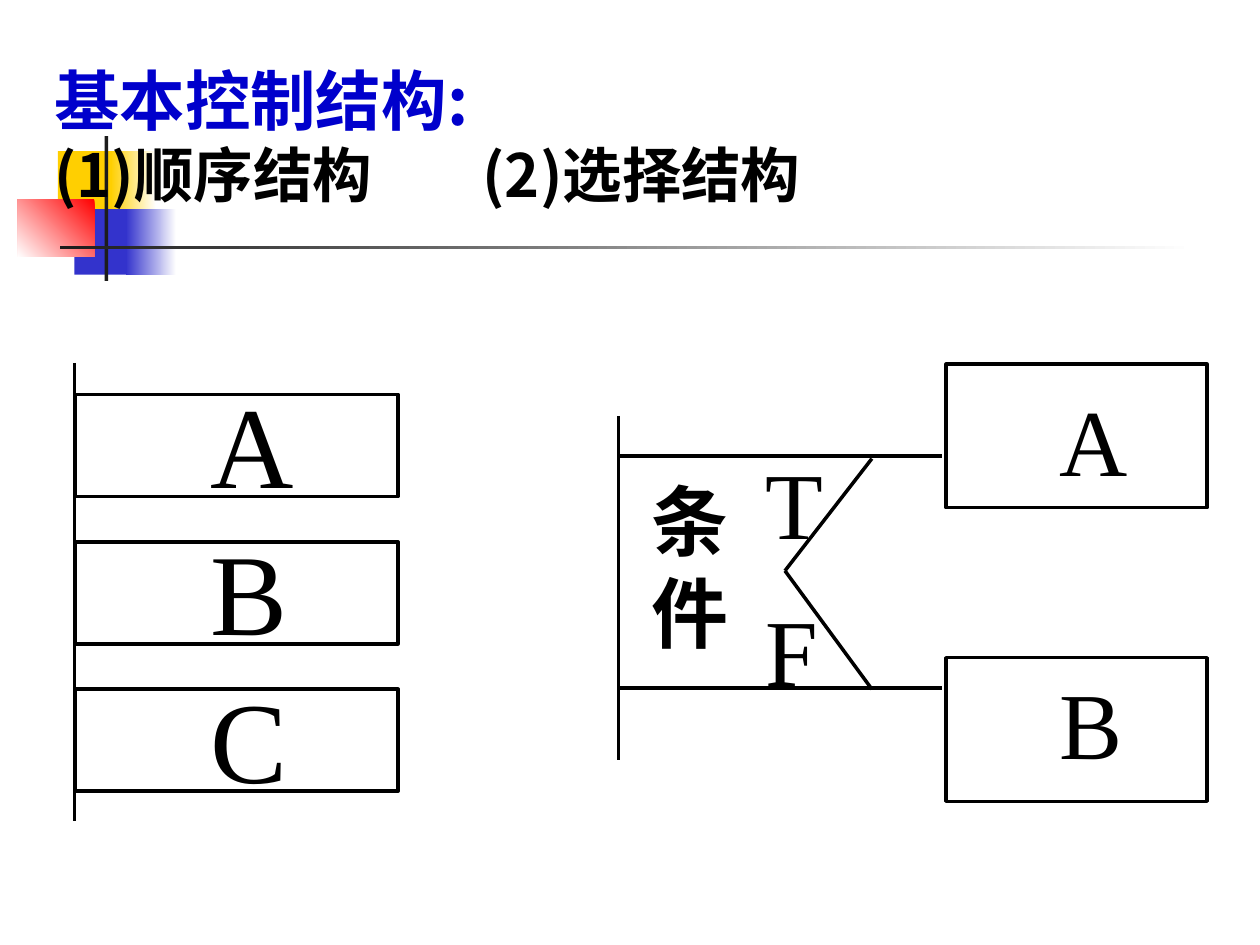
"""Build a slide showing the sequence and selection control structures."""
from lxml.etree import SubElement
from pptx import Presentation
from pptx.dml.color import RGBColor
from pptx.enum.shapes import MSO_CONNECTOR, MSO_SHAPE
from pptx.enum.text import MSO_ANCHOR, MSO_AUTO_SIZE, PP_ALIGN
from pptx.oxml.ns import qn
from pptx.util import Inches, Pt

BLACK = RGBColor(0, 0, 0)
WHITE = RGBColor(255, 255, 255)
BLUE = RGBColor(0, 0, 0xCC)
YELLOW = RGBColor(0xFF, 0xCF, 0x01)
INDIGO = RGBColor(0x33, 0x33, 0xCC)
RED = RGBColor(255, 0, 0)
CHARCOAL = RGBColor(0x1C, 0x1C, 0x1C)
SERIF, SANS = "Times New Roman", "Noto Sans CJK SC"

ORNAMENTS = [
    ((0.46, 1.2, 0.48, 0.52), (YELLOW,), 0),
    ((0.88, 1.2, 0.36, 0.52), (WHITE, YELLOW), 180),
    ((0.59, 1.66, 0.46, 0.52), (INDIGO,), 0),
    ((1, 1.66, 0.4, 0.52), (WHITE, INDIGO), 180),
    ((0.14, 1.58, 0.61, 0.46), (RED, WHITE), 225),
    ((0.83, 1.08, 0.03, 1.15), (CHARCOAL,), 0),
    ((0.48, 1.95, 9, 0.03), (WHITE, CHARCOAL), 180),
]
HEADINGS = [
    ("基本控制结构:", 37.4, BLUE, 11),
    ("(1)顺序结构\t(2)选择结构", 34, BLACK, 12),
]
SECOND_HEADING_TAB = 3.4
SEQUENCE_STEPS = [("A", 0.86), ("B", 0.81), ("C", 0.81)]
SEQUENCE_TOP, SEQUENCE_PITCH = 3.13, 1.17
BRANCHES = [
    ("A", 2.89, (8.31, 2.98, 0.74, 1)),
    ("B", 5.22, (8.31, 5.23, 0.7, 1)),
]
CONDITION_LABELS = [("T", (5.98, 3.48, 0.66, 1)), ("F", (5.98, 4.65, 0.62, 1))]
LINES = [
    (0.59, 2.88, 0.59, 6.52),
    (4.92, 3.62, 7.48, 3.62),
    (4.92, 5.46, 7.48, 5.46),
    (4.91, 3.3, 4.91, 6.03),
    (6.92, 3.64, 6.23, 4.53),
    (6.92, 5.47, 6.23, 4.53),
]


def add_rectangle(slide, box):
    shape = slide.shapes.add_shape(MSO_SHAPE.RECTANGLE, *map(Inches, box))
    shape.shadow.inherit = False
    return shape


def add_ornament(slide, box, colors, angle):
    shape = add_rectangle(slide, box)
    shape.line.fill.background()
    if len(colors) == 1:
        shape.fill.solid()
        shape.fill.fore_color.rgb = colors[0]
        return
    shape.fill.gradient()
    shape.fill.gradient_angle = angle
    for stop, color in zip(shape.fill.gradient_stops, colors):
        stop.color.rgb = color


def add_frame(slide, box):
    shape = add_rectangle(slide, box)
    shape.fill.background()
    shape.line.color.rgb = BLACK
    shape.line.width = Pt(2)


def add_line(slide, ends):
    line = slide.shapes.add_connector(MSO_CONNECTOR.STRAIGHT, *map(Inches, ends))
    line.line.color.rgb = BLACK
    line.line.width = Pt(2)
    SubElement(line._element.spPr, qn("a:effectLst"))


def add_run(paragraph, text, size, font, color=BLACK):
    run = paragraph.add_run()
    run.text = text
    run.font.size = Pt(size)
    run.font.name = font
    run.font.bold = font == SANS
    run.font.color.rgb = color
    SubElement(run.font._element, qn("a:ea"), typeface=font)


def add_label(slide, text, box, size, font=SERIF, space_before=0, wrap=False):
    frame = slide.shapes.add_textbox(*map(Inches, box)).text_frame
    frame.word_wrap = wrap
    frame.auto_size = MSO_AUTO_SIZE.SHAPE_TO_FIT_TEXT
    paragraph = frame.paragraphs[0]
    paragraph.space_before = Pt(space_before)
    add_run(paragraph, text, size, font)


def fill_title(slide):
    title = slide.shapes.title
    slide.shapes._spTree.append(title._element)
    title.left, title.top, title.width, title.height = map(Inches, (0.33, 0.6, 9.67, 1.97))
    frame = title.text_frame
    frame.word_wrap = True
    frame.auto_size = MSO_AUTO_SIZE.NONE
    frame.vertical_anchor = MSO_ANCHOR.TOP
    for index, (text, size, color, space_before) in enumerate(HEADINGS):
        paragraph = frame.add_paragraph() if index else frame.paragraphs[0]
        paragraph.alignment = PP_ALIGN.LEFT
        paragraph.line_spacing = 0.7
        paragraph.space_before = Pt(space_before)
        tabs = SubElement(paragraph._p.get_or_add_pPr(), qn("a:tabLst"))
        SubElement(tabs, qn("a:tab"), pos=str(Inches(SECOND_HEADING_TAB)), algn="l")
        add_run(paragraph, text, size, SANS, color)


def main():
    presentation = Presentation()
    presentation.slide_width, presentation.slide_height = Inches(10), Inches(7.5)
    slide = presentation.slides.add_slide(presentation.slide_layouts[5])
    for ornament in ORNAMENTS:
        add_ornament(slide, *ornament)
    fill_title(slide)
    for index, (text, width) in enumerate(SEQUENCE_STEPS):
        top = SEQUENCE_TOP + index * SEQUENCE_PITCH
        add_frame(slide, (0.6, top, 2.56, 0.81))
        add_label(slide, text, (1.57, top - 0.22, width, 1.2), 66, space_before=16.5)
    for text, top, label_box in BRANCHES:
        add_frame(slide, (7.51, top, 2.07, 1.14))
        add_label(slide, text, label_box, 54)
    for ends in LINES:
        add_line(slide, ends)
    for text, label_box in CONDITION_LABELS:
        add_label(slide, text, label_box, 54)
    add_label(slide, "条件", (5.07, 3.71, 0.73, 1.57), 44, SANS, 27.5, wrap=True)
    presentation.save("out.pptx")


if __name__ == "__main__":
    main()
